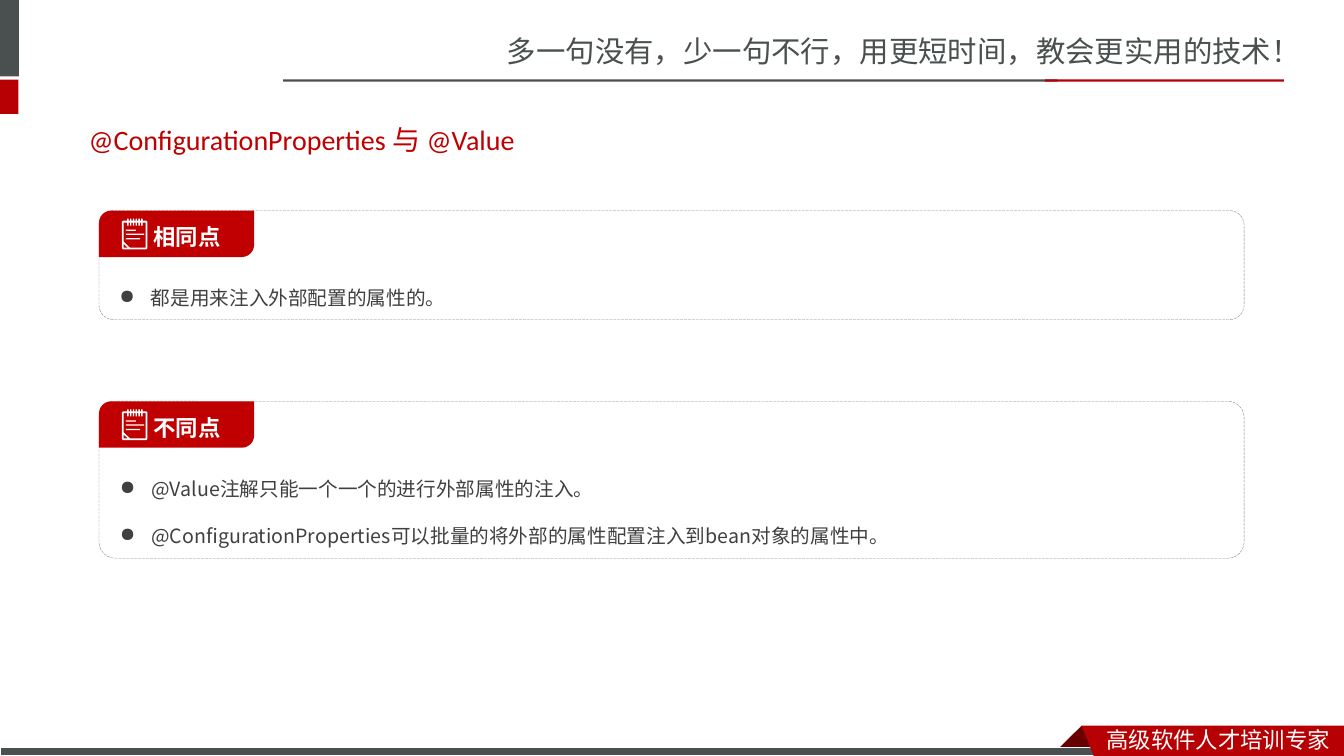
from typing import NamedTuple

from lxml.etree import SubElement
from pptx import Presentation
from pptx.dml.color import RGBColor
from pptx.enum.dml import MSO_LINE as Dash
from pptx.enum.shapes import MSO_SHAPE as Kind
from pptx.enum.text import MSO_ANCHOR as Anchor
from pptx.oxml.ns import qn
from pptx.util import Pt

SANS, BODY = "Noto Sans CJK SC", "Noto Sans CJK JP"
GREY, RED, DARK, WHITE = "49504F", "B60004", "680000", "FFFFFF"
TAB, EDGE, INK = "C00000", "808080", "404040"
WIDE, HIGH = 960, 540

Points = list[tuple[float, float]]


class Box(NamedTuple):
    left: float
    top: float
    width: float
    height: float


class Bar(NamedTuple):
    box: Box
    fill: str


class Panel(NamedTuple):
    top: float
    height: float
    round: float
    head: str
    items: list[str]


BARS = [
    Bar(Box(0, 0, 13.5, 54.5), GREY),
    Bar(Box(0, 56.9, 13.2, 24.5), RED),
    Bar(Box(202.3, 56.7, 553, 1.7), GREY),
    Bar(Box(746.6, 56.7, 170.6, 1.7), RED),
]
PANELS = [
    Panel(150.4, 78, 0.134, "相同点", ["都是用来注入外部配置的属性的。"]),
    Panel(286.6, 112.2, 0.104, "不同点", [
        "@Value注解只能一个一个的进行外部属性的注入。",
        "@ConfigurationProperties可以批量的将外部的属性配置注入到bean对象的属性中。",
    ]),
]

deck = Presentation()
deck.slide_width, deck.slide_height = Pt(WIDE), Pt(HIGH)
slide = deck.slides.add_slide(deck.slide_layouts[6])
shapes = slide.shapes


def tint(code: str) -> RGBColor:
    return RGBColor.from_string(code)


def paint(shape, fill: str | None, edge: str | None = None, width: float = 0.75) -> None:
    shape.shadow.inherit = False
    if fill:
        shape.fill.solid()
        shape.fill.fore_color.rgb = tint(fill)
    else:
        shape.fill.background()
    if edge:
        shape.line.color.rgb = tint(edge)
        shape.line.width = Pt(width)
    else:
        shape.line.fill.background()


def draw(kind: Kind, box: Box, fill: str | None, edge: str | None = None,
         width: float = 0.75, bends: tuple[float, ...] = ()):
    shape = shapes.add_shape(kind, *map(Pt, box))
    for i, bend in enumerate(bends):
        shape.adjustments[i] = bend
    paint(shape, fill, edge, width)
    return shape


def trace(loops: list[Points], fill: str, left: float = 0, top: float = 0) -> None:
    paths = [[(Pt(left + x), Pt(top + y)) for x, y in loop] for loop in loops]
    pen = shapes.build_freeform(*paths[0][0], scale=1.0)
    for i, path in enumerate(paths):
        if i:
            pen.move_to(*path[0])
        pen.add_line_segments(path[1:], close=True)
    paint(pen.convert_to_shape(), fill)


def write(shape, lines: list[str], *, size: float, font: str, color: str,
          bold: bool = False, anchor: Anchor = Anchor.TOP, space: float = 1,
          pad: tuple[float, ...] = (7.2, 3.6, 0, 3.6), bullet: str = "") -> None:
    frame = shape.text_frame
    frame.word_wrap = True
    frame.vertical_anchor = anchor
    (frame.margin_left, frame.margin_top,
     frame.margin_right, frame.margin_bottom) = map(Pt, pad)
    for i, line in enumerate(lines):
        para = frame.add_paragraph() if i else frame.paragraphs[0]
        para.line_spacing = space
        props = para._p.get_or_add_pPr()
        props.set("algn", "l")
        if bullet:
            props.set("marL", str(Pt(22.5)))
            props.set("indent", str(-Pt(22.5)))
            SubElement(props, qn("a:buChar")).set("char", bullet)
        run = para.add_run()
        run.text = line
        run.font.size, run.font.bold = Pt(size), bold
        run.font.name = font
        run.font.color.rgb = tint(color)
        east = SubElement(run._r.get_or_add_rPr(), qn("a:ea"))
        east.set("typeface", SANS if font == "Calibri" else font)


def label(box: Box, text: str, **style) -> None:
    write(shapes.add_textbox(*map(Pt, box)), [text], **style)


# Notepad icon: outer rim, page, folded corner and three text lines
def comb(base: float, tip: float) -> Points:
    teeth: Points = []
    for i in range(6):
        x = 3.8 + 2 * i
        teeth += [(x, base), (x, tip), (x + 1, tip), (x + 1, base)]
    return teeth


def strip(y: float, right: float) -> Points:
    return [(2.9, y), (right, y), (right, y + 0.9), (2.9, y + 0.9)]


def note(left: float, top: float) -> None:
    rim = [(0, 2.2), (0.8, 1.4), *comb(1.4, 0), (17.4, 1.4), (18.2, 2.2),
           (18.2, 21.2), (17.4, 22), (0.8, 22), (0, 21.2)]
    page = [(1.2, 2.8), *comb(2.8, 5), (17, 2.8), (17, 20.8),
            (5.8, 20.8), (1.2, 16.4)]
    fold = [(1.2, 18), (4.2, 20.8), (1.2, 20.8)]
    text = [strip(7.9, 10), strip(10.8, 15.8), strip(13.9, 13)]
    trace([rim, page, fold, *text], WHITE, left, top)


def panel(item: Panel) -> None:
    left = 70.7
    body = draw(Kind.ROUNDED_RECTANGLE, Box(left, item.top, 818, item.height),
                None, EDGE, 0.25, (item.round,))
    body.line.dash_style = Dash.LONG_DASH
    write(body, item.items, size=14, font=BODY, color=INK, space=2,
          pad=(11.5, 33.8, 5.8, 8.6), bullet="●")
    head = draw(Kind.ROUND_2_DIAG_RECTANGLE, Box(left, item.top, 110.8, 33.2),
                TAB, bends=(0.264, 0))
    write(head, [item.head], size=16, font=BODY, color=WHITE, bold=True,
          anchor=Anchor.MIDDLE, space=1.5, pad=(36.4, 0, 2.9, 5.8))
    note(left + 16.4, item.top + 5.8)


# Header
label(Box(355, 20.2, 605, 33.8), "多一句没有，少一句不行，用更短时间，教会更实用的技术！",
      size=21, font=SANS, color=GREY)
for bar in BARS:
    draw(Kind.RECTANGLE, bar.box, bar.fill)

# Footer ribbon
trace([[(772.6, 518.4), (788.4, 534.2), (787.7, 535), (757.4, 535), (756.7, 534.2)]], DARK)
draw(Kind.RECTANGLE, Box(0, 533.8, 791, 6.2), GREY, WHITE)
trace([[(772.6, 518.4), (WIDE, 518.4), (WIDE, HIGH), (781.2, HIGH)]], RED)
label(Box(783.4, 514.8, 176.6, 25), "高级软件人才培训专家",
      size=16, font=SANS, color=WHITE)

# Title and panels
label(Box(56.2, 79.2, 842, 41), "@ConfigurationProperties 与 @Value",
      size=20, font="Calibri", color=TAB, anchor=Anchor.MIDDLE)
for item in PANELS:
    panel(item)

deck.save("out.pptx")
